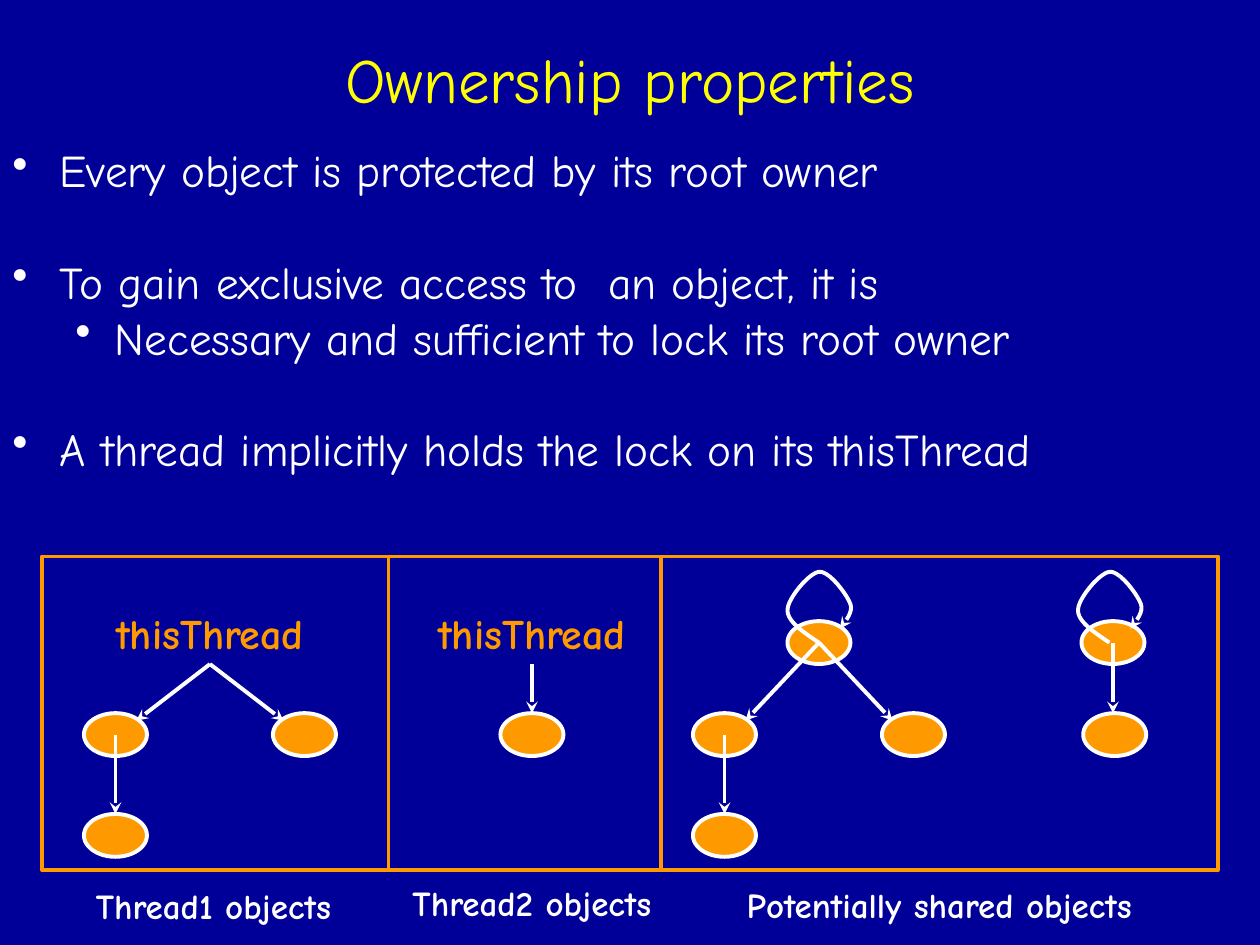
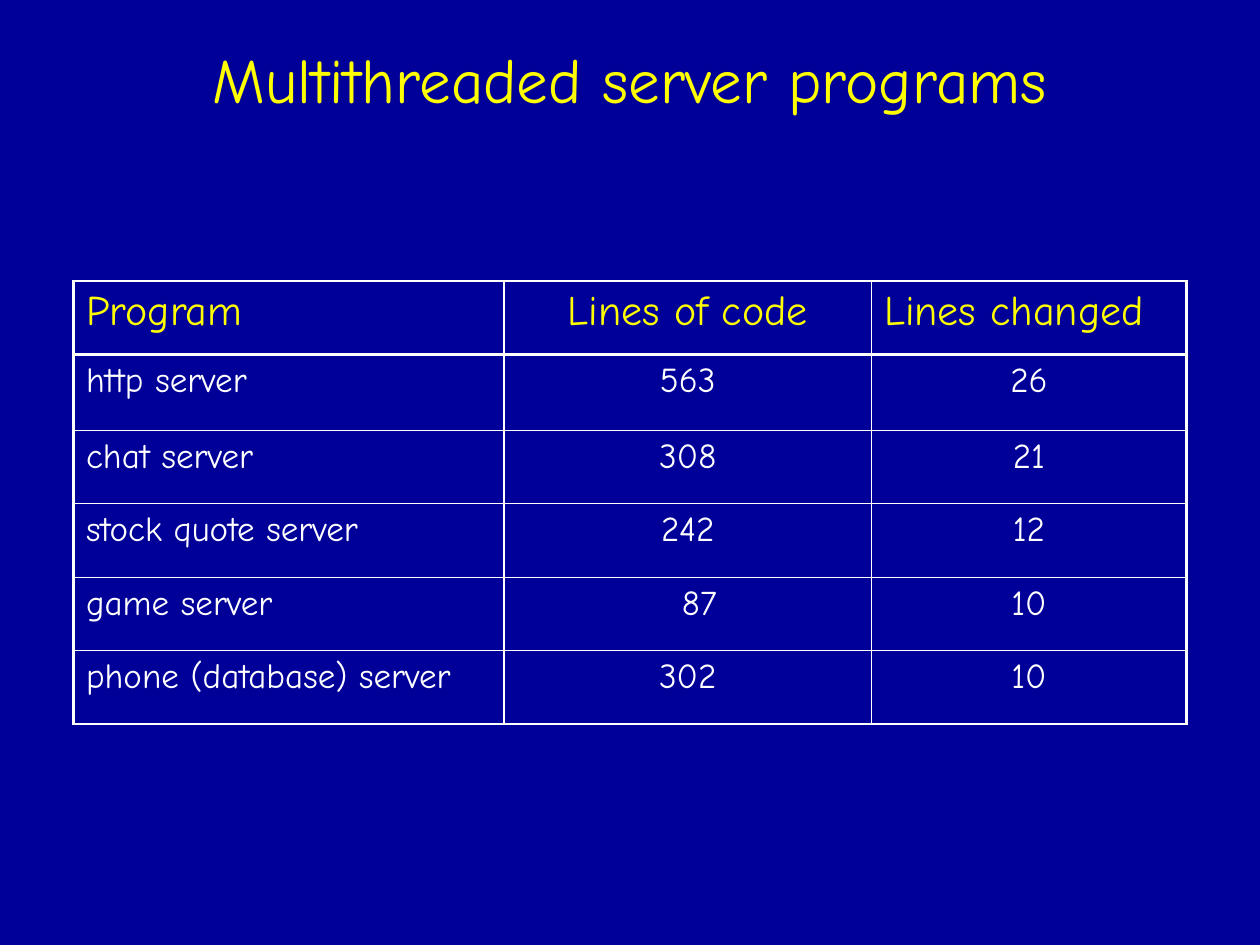
from lxml import etree
from pptx import Presentation
from pptx.dml.color import RGBColor
from pptx.enum.shapes import MSO_CONNECTOR, MSO_SHAPE
from pptx.enum.text import MSO_ANCHOR, PP_ALIGN
from pptx.oxml.ns import qn
from pptx.util import Pt

NAVY = RGBColor(0x00, 0x00, 0x99)
YELLOW = RGBColor(0xFF, 0xFF, 0x00)
ORANGE = RGBColor(0xFF, 0x99, 0x00)
WHITE = RGBColor(0xFF, 0xFF, 0xFF)

LEFT, CENTER = PP_ALIGN.LEFT, PP_ALIGN.CENTER
TOP, MIDDLE = MSO_ANCHOR.TOP, MSO_ANCHOR.MIDDLE
OVAL, RECTANGLE = MSO_SHAPE.OVAL, MSO_SHAPE.RECTANGLE
STRAIGHT = MSO_CONNECTOR.STRAIGHT

FONT = "Comic Neue"
LINE_WIDTH = 2.25
THICK, THIN = 1.47, 0.45
NODE_WIDTH, NODE_HEIGHT = 36, 24.5
BULLET_LEVELS = [(27, 27), (58.5, 22.5)]  # left margin, hanging indent

# Self-loop of a root owner, relative to the start at its centre
LOOP_CURVES = [
    [(0, 0), (-9, -6), (-18, -12), (-18, -18.5)],
    [(-18, -18.5), (-18, -25), (-6, -39.5), (0, -40.5)],
    [(0, -40.5), (6, -41), (16, -27.5), (18, -22)],
    [(18, -22), (20, -16.5), (13, -10), (12, -8)],
]


def bezier_point(curve, t):
    weights = ((1 - t) ** 3, 3 * t * (1 - t) ** 2, 3 * t * t * (1 - t), t ** 3)
    return [sum(w * point[axis] for w, point in zip(weights, curve)) for axis in (0, 1)]


class Deck:
    def __init__(self):
        self.prs = Presentation()
        self.prs.slide_width, self.prs.slide_height = Pt(720), Pt(540)

    def new_slide(self, title):
        self.slide = self.prs.slides.add_slide(self.prs.slide_layouts[6])
        fill = self.slide.background.fill
        fill.solid()
        fill.fore_color.rgb = NAVY
        self.text(title, 54, 12, 612, 66, 36, YELLOW, anchor=MIDDLE)

    def style(self, paragraph, size, color, align=LEFT, bold=False):
        paragraph.alignment = align
        for run in paragraph.runs:
            run.font.name, run.font.size, run.font.bold = FONT, Pt(size), bold
            run.font.color.rgb = color

    def text(self, words, x, y, width, height, size, color, bold=False, anchor=TOP, wrap=True):
        box = self.slide.shapes.add_textbox(Pt(x), Pt(y), Pt(width), Pt(height))
        frame = box.text_frame
        frame.word_wrap, frame.vertical_anchor = wrap, anchor
        frame.text = words
        self.style(frame.paragraphs[0], size, color, CENTER, bold)

    def label(self, words, center_x, y, width, size, color):
        self.text(words, center_x - width / 2, y, width, 32, size, color, bold=True, wrap=False)

    def bullets(self, items, x, y, width, height, size):
        frame = self.slide.shapes.add_textbox(Pt(x), Pt(y), Pt(width), Pt(height)).text_frame
        frame.word_wrap = True
        frame.text = "\n".join(words for words, _, _ in items)
        for paragraph, (_, level, space) in zip(frame.paragraphs, items):
            margin, hanging = BULLET_LEVELS[level]
            props = paragraph._p.get_or_add_pPr()
            props.set("marL", str(Pt(margin)))
            props.set("indent", str(-Pt(hanging)))
            color = etree.SubElement(props, qn("a:buClr"))
            etree.SubElement(color, qn("a:srgbClr"), val=str(WHITE))
            etree.SubElement(props, qn("a:buChar"), char="•")
            paragraph.level = level
            paragraph.line_spacing = 0.8
            paragraph.space_before = Pt(space)
            self.style(paragraph, size, WHITE)

    def outline(self, shape, color=WHITE):
        shape.line.color.rgb = color
        shape.line.width = Pt(LINE_WIDTH)

    def arrowhead(self, shape):
        etree.SubElement(shape.line._get_or_add_ln(), qn("a:tailEnd"), type="stealth")

    def node(self, center_x, center_y):
        oval = self.slide.shapes.add_shape(
            OVAL, Pt(center_x - NODE_WIDTH / 2), Pt(center_y - NODE_HEIGHT / 2),
            Pt(NODE_WIDTH), Pt(NODE_HEIGHT))
        oval.shadow.inherit = False
        oval.fill.solid()
        oval.fill.fore_color.rgb = ORANGE
        self.outline(oval)

    def panel(self, x, y, width, height):
        frame = self.slide.shapes.add_shape(RECTANGLE, Pt(x), Pt(y), Pt(width), Pt(height))
        frame.shadow.inherit = False
        frame.fill.background()
        self.outline(frame, ORANGE)

    def arrow(self, x1, y1, x2, y2):
        line = self.slide.shapes.add_connector(STRAIGHT, Pt(x1), Pt(y1), Pt(x2), Pt(y2))
        self.outline(line)
        self.arrowhead(line)
        etree.SubElement(line._element.spPr, qn("a:effectLst"))

    def self_loop(self, x, y, steps=10):
        points = [bezier_point(curve, step / steps)
                  for curve in LOOP_CURVES for step in range(1, steps + 1)]
        builder = self.slide.shapes.build_freeform(Pt(x), Pt(y))
        builder.add_line_segments([(Pt(x + dx), Pt(y + dy)) for dx, dy in points], close=False)
        loop = builder.convert_to_shape()
        loop.shadow.inherit = False
        loop.fill.background()
        self.outline(loop)
        self.arrowhead(loop)

    def owned_tree(self, owner_x, owner_y, child_y, grandchild_y):
        """Two children of an owner; the left child owns one more object."""
        left, right = owner_x - 54, owner_x + 54
        for x, y in ((left, child_y), (right, child_y), (left, grandchild_y)):
            self.node(x, y)
        for tip_x in (left + 12, right - 12):
            self.arrow(owner_x, owner_y, tip_x, child_y - 8)
        self.arrow(left, child_y, left, grandchild_y - NODE_HEIGHT / 2)

    def borders(self, cell, widths):
        props = cell._tc.get_or_add_tcPr()
        for index, (side, width) in enumerate(zip("LRTB", widths)):
            line = etree.Element(qn(f"a:ln{side}"), w=str(Pt(width)))
            fill = etree.SubElement(line, qn("a:solidFill"))
            etree.SubElement(fill, qn("a:srgbClr"), val=str(WHITE))
            props.insert(index, line)

    def table(self, rows, x, y, widths, heights):
        table = self.slide.shapes.add_table(
            len(rows), len(widths), Pt(x), Pt(y), Pt(sum(widths)), Pt(sum(heights))).table
        table.first_row = table.horz_banding = False
        for column, width in zip(table.columns, widths):
            column.width = Pt(width)
        for row, height in zip(table.rows, heights):
            row.height = Pt(height)
        # Thick rules frame the table, its header and its first column
        column_rules = [THICK, THICK, THIN, THICK]
        row_rules = [THICK, THICK] + [THIN] * (len(rows) - 2) + [THICK]
        for r, values in enumerate(rows):
            for c, value in enumerate(values):
                cell = table.cell(r, c)
                cell.text = value
                cell.fill.background()
                centered = c == 1 or (c == 2 and r > 0)
                size, color = (20, WHITE) if r else (24, YELLOW)
                self.style(cell.text_frame.paragraphs[0], size, color,
                           CENTER if centered else LEFT)
                self.borders(cell, column_rules[c:c + 2] + row_rules[r:r + 2])
        return table


def ownership_slide(deck):
    deck.new_slide("Ownership properties")
    deck.bullets([
        ("Every object is protected by its root owner", 0, 0),
        ("To gain exclusive access to  an object, it is", 0, 38.8),
        ("Necessary and sufficient to lock its root owner", 1, 7),
        ("A thread implicitly holds the lock on its thisThread", 0, 38.8),
    ], 0, 84, 720, 210, 25.9)

    root_y, child_y, grandchild_y = 367.2, 419.8, 477.4
    thread_y = 379.5  # lower edge of the thisThread labels
    thread1_x, thread2_x, shared_x, lone_x = 120, 304, 468, 636
    child_top = child_y - NODE_HEIGHT / 2

    # Objects owned by the two threads
    deck.owned_tree(thread1_x, thread_y, child_y, grandchild_y)
    deck.node(thread2_x, child_y)
    deck.arrow(thread2_x, thread_y, thread2_x, child_top)
    for x in (thread1_x, thread2_x):
        deck.label("thisThread", x, 343.5, 122, 24, ORANGE)

    # Shared objects, whose roots own themselves
    deck.node(shared_x, root_y)
    deck.owned_tree(shared_x, root_y, child_y, grandchild_y)
    deck.node(lone_x, root_y)
    deck.node(lone_x + 1, child_y)
    deck.arrow(lone_x, root_y, lone_x, child_top)
    for x in (shared_x, lone_x - 2):
        deck.self_loop(x, root_y)

    # Panels and captions
    panel_x = 24
    for width, caption, caption_x, caption_y, caption_width in (
            (198, "Thread1 objects", 122, 501.8, 149),
            (156, "Thread2 objects", thread2_x, 500.4, 151),
            (318, "Potentially shared objects", 536.8, 501.1, 235)):
        deck.panel(panel_x, 318, width, 179.3)
        deck.label(caption, caption_x, caption_y, caption_width, 20, WHITE)
        panel_x += width


def servers_slide(deck):
    deck.new_slide("Multithreaded server programs")
    programs = deck.table([
        ("Program", "Lines of code", "Lines changed"),
        ("http server", "563", "26"),
        ("chat server", "308", "21"),
        ("stock quote server", "242", "12"),
        ("game server", "87", "10"),
        ("phone (database) server", "302", "10"),
    ], 42, 160.6, [246, 210, 180], [42, 43.3, 42, 42, 42, 42])
    # Line the two-digit count up with the units above it
    programs.cell(4, 1).margin_left = Pt(20.4)


def main():
    deck = Deck()
    ownership_slide(deck)
    servers_slide(deck)
    deck.prs.save("out.pptx")


if __name__ == "__main__":
    main()
